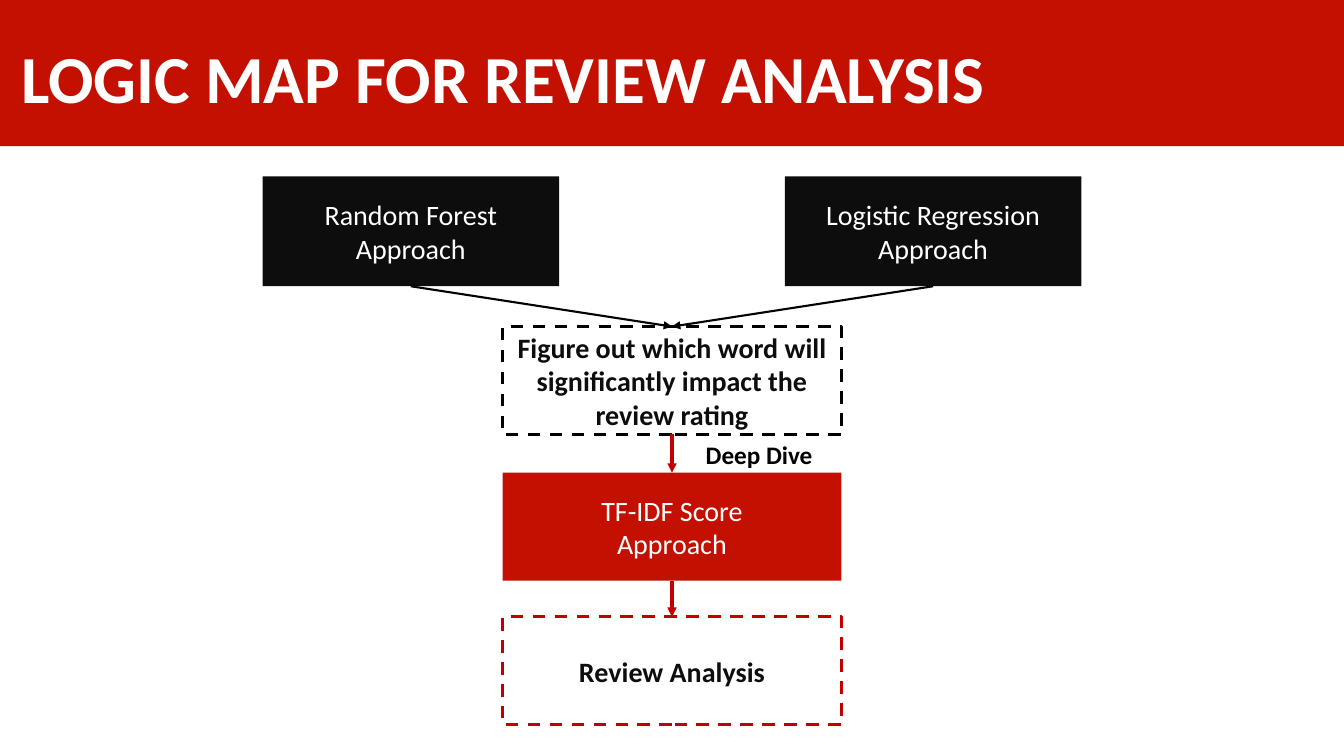
from dataclasses import dataclass
from typing import Optional

from lxml.etree import SubElement
from pptx import Presentation
from pptx.dml.color import RGBColor
from pptx.enum.dml import MSO_LINE
from pptx.enum.shapes import MSO_CONNECTOR, MSO_SHAPE
from pptx.enum.text import MSO_ANCHOR, MSO_AUTO_SIZE, PP_ALIGN
from pptx.oxml.ns import qn
from pptx.shapes.autoshape import Shape
from pptx.slide import Slide
from pptx.text.text import TextFrame
from pptx.util import Inches, Pt

RED = RGBColor(0xC4, 0x10, 0x00)
DARK_RED = RGBColor(0xC0, 0x00, 0x00)
INK = RGBColor(0x0D, 0x0D, 0x0D)
BLACK = RGBColor(0x00, 0x00, 0x00)
WHITE = RGBColor(0xFF, 0xFF, 0xFF)

TOP, BOTTOM = 0, 2
SLIDE_WIDTH = 13.33


@dataclass
class Step:
    text: str
    center: float
    top: float
    width: float
    height: float
    fill: Optional[RGBColor] = None
    dash: Optional[RGBColor] = None


@dataclass
class Arrow:
    start: Shape
    end: Shape
    color: RGBColor
    weight: float


def style_text(frame: TextFrame, size: float, color: RGBColor, bold: bool, align: PP_ALIGN) -> None:
    frame.word_wrap = True
    for paragraph in frame.paragraphs:
        paragraph.alignment = align
        paragraph.font.name = "Calibri"
        paragraph.font.size = Pt(size)
        paragraph.font.bold = bold
        paragraph.font.color.rgb = color


def draw_step(slide: Slide, step: Step) -> Shape:
    box = slide.shapes.add_shape(
        MSO_SHAPE.RECTANGLE, Inches(step.center - step.width / 2), Inches(step.top),
        Inches(step.width), Inches(step.height))
    box.shadow.inherit = False
    if step.fill is None:
        box.fill.background()
    else:
        box.fill.solid()
        box.fill.fore_color.rgb = step.fill
    if step.dash is None:
        box.line.fill.background()
    else:
        box.line.color.rgb = step.dash
        box.line.width = Pt(2.25)
        box.line.dash_style = MSO_LINE.DASH
    box.text_frame.text = step.text
    box.text_frame.vertical_anchor = MSO_ANCHOR.MIDDLE
    filled = step.fill is not None
    style_text(box.text_frame, 20, WHITE if filled else INK, not filled, PP_ALIGN.CENTER)
    return box


def draw_arrow(slide: Slide, arrow: Arrow) -> None:
    link = slide.shapes.add_connector(MSO_CONNECTOR.STRAIGHT, 0, 0, 0, 0)
    link.begin_connect(arrow.start, BOTTOM)
    link.end_connect(arrow.end, TOP)
    link.line.color.rgb = arrow.color
    link.line.width = Pt(arrow.weight)
    SubElement(link.line._get_or_add_ln(), qn("a:tailEnd"), type="triangle")
    SubElement(link._element.spPr, qn("a:effectLst"))


def draw_title(slide: Slide) -> None:
    banner = slide.shapes.add_shape(MSO_SHAPE.RECTANGLE, 0, 0, Inches(SLIDE_WIDTH), Inches(1.45))
    banner.shadow.inherit = False
    banner.fill.solid()
    banner.fill.fore_color.rgb = RED
    banner.line.fill.background()

    title = slide.shapes.title
    title._element.addprevious(banner._element)
    title.left, title.top = Inches(0.11), Inches(0.09)
    title.width, title.height = Inches(11.5), Inches(1.45)
    title.text_frame.text = "LOGIC MAP FOR REVIEW ANALYSIS"
    title.text_frame.auto_size = MSO_AUTO_SIZE.NONE
    title.text_frame.vertical_anchor = MSO_ANCHOR.MIDDLE
    title.text_frame.paragraphs[0].line_spacing = 0.9
    style_text(title.text_frame, 48, WHITE, True, PP_ALIGN.LEFT)


def main() -> None:
    deck = Presentation()
    deck.slide_width, deck.slide_height = Inches(SLIDE_WIDTH), Inches(7.5)
    slide = deck.slides.add_slide(deck.slide_layouts[5])
    draw_title(slide)

    middle = SLIDE_WIDTH / 2
    model_offset = 2.59
    model_size = (2.94, 1.09)
    stage_size = (3.36, 1.07)
    steps = [
        Step("Random Forest\nApproach", middle - model_offset, 1.75, *model_size, fill=INK),
        Step("Logistic Regression Approach", middle + model_offset, 1.75, *model_size, fill=INK),
        Step("Figure out which word will significantly impact the review rating",
             middle, 3.24, *stage_size, dash=BLACK),
        Step("TF-IDF Score\nApproach", middle, 4.69, *stage_size, fill=RED),
        Step("Review Analysis", middle, 6.12, *stage_size, dash=DARK_RED),
    ]
    forest, regression, key_words, tf_idf, analysis = [draw_step(slide, step) for step in steps]

    for arrow in (
        Arrow(forest, key_words, BLACK, 1.5),
        Arrow(regression, key_words, BLACK, 1.5),
        Arrow(key_words, tf_idf, DARK_RED, 2.25),
        Arrow(tf_idf, analysis, DARK_RED, 2.25),
    ):
        draw_arrow(slide, arrow)

    deep_dive = slide.shapes.add_textbox(Inches(6.9), Inches(4.31), Inches(2.89), Inches(0.4))
    deep_dive.text_frame.text = "Deep Dive"
    style_text(deep_dive.text_frame, 18, BLACK, True, PP_ALIGN.LEFT)

    deck.save("out.pptx")


if __name__ == "__main__":
    main()
